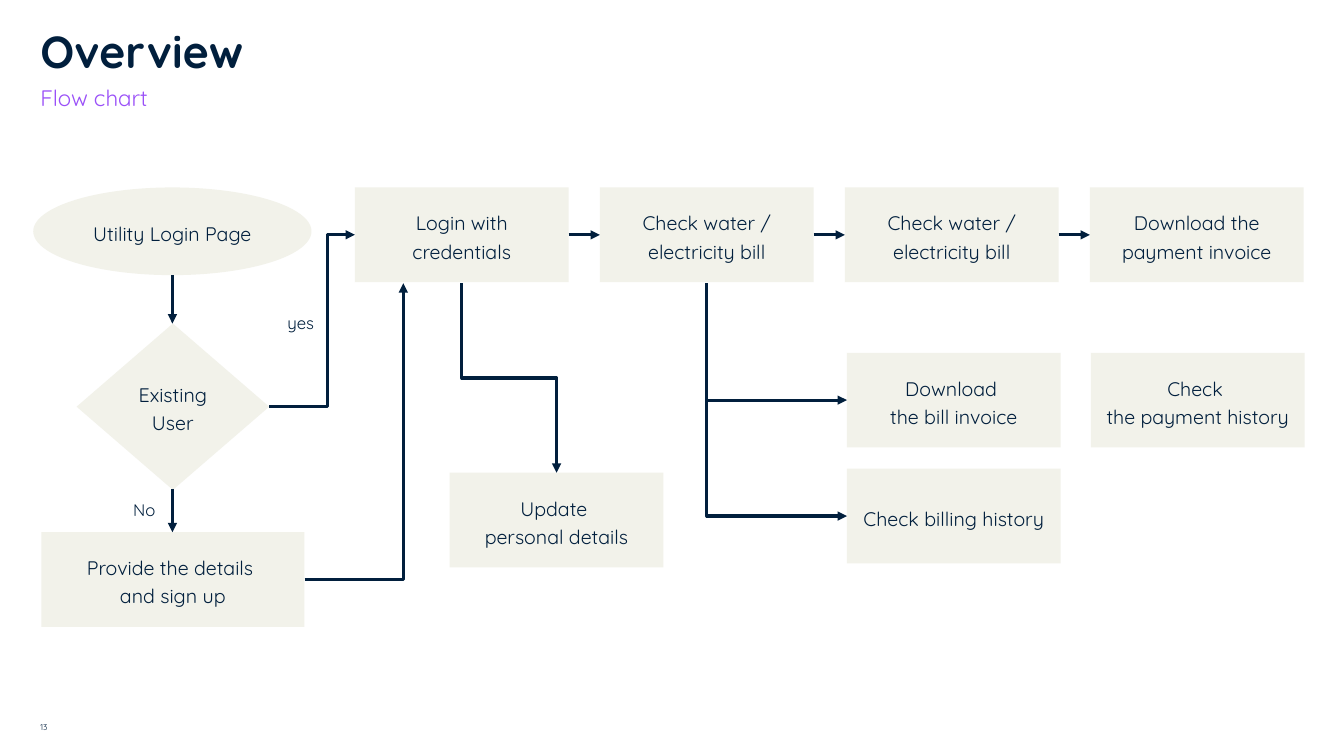
import pptx
import pptx.dml.color
import pptx.enum.shapes
import pptx.enum.text
import pptx.oxml
import pptx.oxml.ns
import pptx.util

Inches = pptx.util.Inches
Pt = pptx.util.Pt
SHAPE = pptx.enum.shapes.MSO_SHAPE
CONNECTOR = pptx.enum.shapes.MSO_CONNECTOR
ANCHOR = pptx.enum.text.MSO_ANCHOR
ALIGN = pptx.enum.text.PP_ALIGN
qn = pptx.oxml.ns.qn

NAVY = pptx.dml.color.RGBColor(0x01, 0x1F, 0x3D)
PURPLE = pptx.dml.color.RGBColor(0x9A, 0x50, 0xF8)
CREAM = pptx.dml.color.RGBColor(0xF2, 0xF2, 0xEA)
FONT = "Quicksand"

prs = pptx.Presentation()
prs.slide_width, prs.slide_height = Inches(13.33), Inches(7.5)
slide = prs.slides.add_slide(prs.slide_layouts[6])


def write_text(shape, text, font, paragraph_format, frame_format):
    """Fill a shape with one paragraph and apply the three dicts of format values."""
    frame = shape.text_frame
    frame.text = text
    paragraph = frame.paragraphs[0]
    targets = (
        (frame, frame_format),
        (paragraph, paragraph_format),
        (paragraph.font, {"name": FONT, **font}),
    )
    for target, values in targets:
        for name, value in values.items():
            setattr(target, name, value)
    paragraph.font.color.rgb = PURPLE if text == "Flow chart" else NAVY


def add_arrow(start, end, geometry="line", bend=None, leaves_down=False):
    """Draw an arrow; leaves_down turns an elbow so that its first leg is vertical."""
    kind = CONNECTOR.STRAIGHT if geometry == "line" else CONNECTOR.ELBOW
    arrow = slide.shapes.add_connector(kind, *map(Inches, start + end))
    arrow.line.color.rgb = NAVY
    arrow.line.width = Pt(2.25)
    properties = arrow._element.spPr
    outline = properties.find(qn("a:ln"))
    outline.append(pptx.oxml.parse_xml(
        f'<a:tailEnd {pptx.oxml.ns.nsdecls("a")} type="triangle"/>'))
    outline.addnext(pptx.oxml.parse_xml(
        f'<a:effectLst {pptx.oxml.ns.nsdecls("a")}/>'))
    preset = properties.find(qn("a:prstGeom"))
    preset.set("prst", geometry)
    if bend is not None:
        guide = pptx.oxml.parse_xml(
            f'<a:gd {pptx.oxml.ns.nsdecls("a")} name="adj1" fmla="val {round(bend * 100000)}"/>')
        preset.get_or_add_avLst().append(guide)
    if leaves_down:
        across, down = arrow.width, arrow.height
        arrow.left += (across - down) // 2
        arrow.top += (down - across) // 2
        arrow.width, arrow.height = down, across
        arrow.rotation = 270
        properties.find(qn("a:xfrm")).set("flipH", "1")


# Headings, branch labels and page number
no_margins = dict(margin_left=0, margin_top=0, margin_right=0, margin_bottom=0)
heading = {**no_margins, "word_wrap": True}
label = {**no_margins, "word_wrap": False}
label_paragraph = {"line_spacing": 1.2, "space_after": Pt(7.7)}
captions = [
    ("Overview", (0.4, 0.24, 12.54, 0.53), {"size": Pt(32), "bold": True}, {}, heading),
    ("Flow chart", (0.4, 0.77, 12.54, 0.32), {"size": Pt(16)}, {},
     {**heading, "margin_top": Inches(0.06)}),
    ("13", (0.4, 7.15, 0.42, 0.11), {"size": Pt(6)}, {},
     {**heading, "vertical_anchor": ANCHOR.BOTTOM}),
    ("yes", (2.85, 3.06, 0.39, 0.41), {"size": Pt(12)}, label_paragraph, label),
    ("No", (1.32, 4.92, 0.39, 0.41), {"size": Pt(12)}, label_paragraph, label),
]
for text, place, font, paragraph_format, frame_format in captions:
    caption = slide.shapes.add_textbox(*map(Inches, place))
    write_text(caption, text, font, paragraph_format, frame_format)

# Steps of the flow
STEP_W, STEP_H = 2.12, 0.94
ROW_TOP, ROW_MIDDLE, ROW_BOTTOM = 1.86, 2.33, 2.81
columns = [3.52 + 2.43 * i for i in range(4)]
row_steps = ["Login with credentials", "Check water / electricity bill",
             "Check water / electricity bill", "Download the payment invoice"]
steps = [
    ("Utility Login Page", SHAPE.OVAL, (0.33, 1.86, 2.76, 0.87)),
    ("Existing User", SHAPE.DIAMOND, (0.76, 3.21, 1.91, 1.65)),
    ("Provide the details \vand sign up", SHAPE.RECTANGLE, (0.41, 5.28, 2.61, STEP_H)),
]
boxes = [(text, left, ROW_TOP) for text, left in zip(row_steps, columns)] + [
    ("Update \vpersonal details", 4.46, 4.69),
    ("Download \vthe bill invoice", 8.4, 3.5),
    ("Check \vthe payment history", 10.82, 3.5),
    ("Check billing history", 8.4, 4.65),
]
steps += [(text, SHAPE.RECTANGLE, (left, top, STEP_W, STEP_H)) for text, left, top in boxes]

step_frame = {f"margin_{side}": Inches(0.11) for side in ("left", "top", "right", "bottom")}
step_frame.update(word_wrap=True, vertical_anchor=ANCHOR.MIDDLE)
step_paragraph = {"alignment": ALIGN.CENTER, "line_spacing": 1.2, "space_after": Pt(7)}
for text, outline, place in steps:
    step = slide.shapes.add_shape(outline, *map(Inches, place))
    step.shadow.inherit = False
    step.fill.solid()
    step.fill.fore_color.rgb = CREAM
    step.line.fill.background()
    write_text(step, text, {"size": Pt(14)}, step_paragraph, step_frame)

# Arrows
add_arrow((1.71, 2.73), (1.71, 3.21))
add_arrow((1.71, 4.85), (1.71, 5.28))
for left, following in zip(columns, columns[1:]):
    add_arrow((left + STEP_W, ROW_MIDDLE), (following, ROW_MIDDLE))
add_arrow((2.67, 4.03), (3.52, ROW_MIDDLE), "bentConnector3", bend=0.68)
add_arrow((3.02, 5.75), (4, ROW_BOTTOM), "bentConnector2")
add_arrow((4.58, ROW_BOTTOM), (5.52, 4.69), "bentConnector3", bend=0.5, leaves_down=True)
for branch_y in (3.97, 5.12):
    add_arrow((7.01, ROW_BOTTOM), (8.4, branch_y), "bentConnector2", leaves_down=True)

prs.save("out.pptx")
